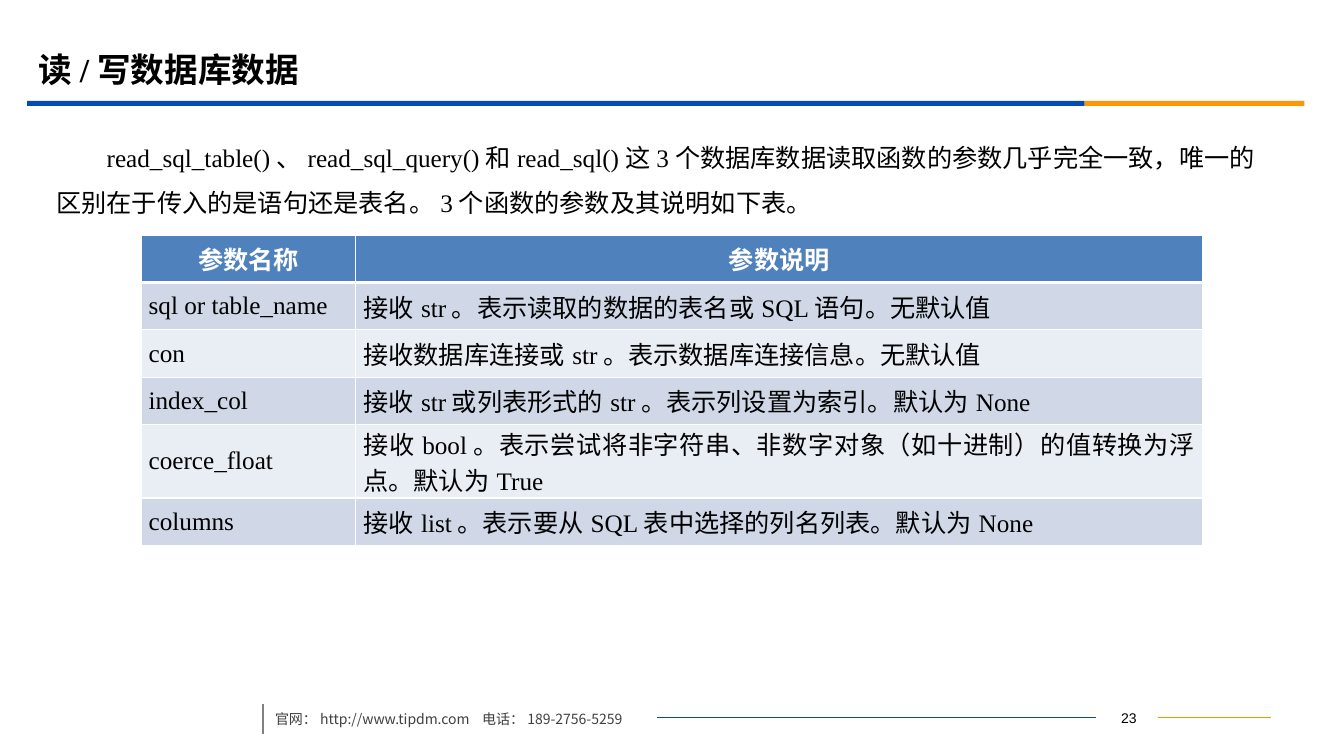
"""Build the slide on reading database data with pandas."""
from pptx import Presentation
from pptx.dml.color import RGBColor
from pptx.enum import shapes, text
from pptx.oxml import ns, xmlchemy
from pptx.util import Pt

ALIGN = text.PP_ALIGN
MIDDLE = text.MSO_ANCHOR.MIDDLE
CJK = "Noto Sans CJK SC"


def color(value):
    return RGBColor.from_string(value)


def child(parent, tag, **attrs):
    e = xmlchemy.OxmlElement(tag)
    for key, value in attrs.items():
        e.set(key, str(value))
    parent.append(e)
    return e


def write(p, content, size=18, font="Times New Roman", fill="000000", bold=False,
          align=ALIGN.LEFT, spacing=1, indent=0, tab=None):
    p.alignment = align
    p.line_spacing = spacing
    pPr = p._p.get_or_add_pPr()
    if indent:
        pPr.set("indent", str(Pt(indent)))
    if tab:
        child(child(pPr, "a:tabLst"), "a:tab", pos=Pt(tab), algn="l")
    r = p.add_run()
    r.text = content
    r.font.size = Pt(size)
    r.font.bold = bold
    r.font.name = font
    r.font.color.rgb = color(fill)
    child(r._r.get_or_add_rPr(), "a:ea", typeface=CJK)


class Slide:
    def __init__(self, prs):
        self.s = prs.slides.add_slide(prs.slide_layouts[6])

    def bar(self, x, y, w, h, fill):
        sp = self.s.shapes.add_shape(shapes.MSO_SHAPE.RECTANGLE, Pt(x), Pt(y), Pt(w), Pt(h))
        sp.shadow.inherit = False
        sp.fill.solid()
        sp.fill.fore_color.rgb = color(fill)
        sp.line.fill.background()

    def line(self, x1, y1, x2, y2, fill, width):
        sp = self.s.shapes.add_connector(
            shapes.MSO_CONNECTOR.STRAIGHT, Pt(x1), Pt(y1), Pt(x2), Pt(y2))
        sp.line.color.rgb = color(fill)
        sp.line.width = Pt(width)
        child(sp._element.spPr, "a:effectLst")

    def text(self, x, y, w, h, content, anchor=text.MSO_ANCHOR.TOP, **style):
        tf = self.s.shapes.add_textbox(Pt(x), Pt(y), Pt(w), Pt(h)).text_frame
        tf.word_wrap = True
        tf.vertical_anchor = anchor
        write(tf.paragraphs[0], content, **style)

    def table(self, x, y, widths, heights, rows):
        t = self.s.shapes.add_table(len(rows), len(widths), Pt(x), Pt(y),
                                    Pt(sum(widths)), Pt(sum(heights))).table
        for column, width in zip(t.columns, widths):
            column.width = Pt(width)
        for i, (row, height) in enumerate(zip(rows, heights)):
            t.rows[i].height = Pt(height)
            for j, content in enumerate(row):
                self.cell(t.cell(i, j), content, i)

    def cell(self, c, content, row):
        c.vertical_anchor = MIDDLE
        if row:
            c.margin_left = c.margin_right = Pt(5.4)
            c.margin_top = c.margin_bottom = 0
            write(c.text_frame.paragraphs[0], content, align=ALIGN.JUSTIFY)
        else:
            write(c.text_frame.paragraphs[0], content, fill="FFFFFF", bold=True,
                  align=ALIGN.CENTER)
        tcPr = c._tc.get_or_add_tcPr()
        for side in "LRTB":
            thick = (row, side) in ((0, "B"), (1, "T"))
            ln = child(tcPr, f"a:ln{side}", w=Pt(3 if thick else 1))
            child(child(ln, "a:solidFill"), "a:srgbClr", val="FFFFFF")
        c.fill.solid()
        c.fill.fore_color.rgb = color(
            "4F81BD" if row == 0 else "D0D8E8" if row % 2 else "E9EDF4")


def main():
    prs = Presentation()
    prs.slide_width, prs.slide_height = Pt(960), Pt(540)
    s = Slide(prs)
    s.bar(19.4, 72, 755.3, 3.6, "064BB2")
    s.bar(774.7, 72, 157, 3.6, "FB9708")
    s.text(784, 503.3, 44.6, 18, "23", size=10, font="Arial", align=ALIGN.CENTER)
    s.line(827.3, 512.6, 907.9, 512.6, "F19500", 0.75)
    s.line(469.4, 512.6, 782.6, 512.6, "064BB2", 0.75)
    s.line(187.9, 502.6, 187.9, 524.2, "808080", 1.25)
    s.text(189.4, 498.2, 385.9, 25.2, "官网：http://www.tipdm.com\t电话：189-2756-5259",
           size=10, font=CJK, fill="404040", spacing=1.5, tab=148)
    s.text(33.1, 87.1, 874.8, 398.2,
           "read_sql_table()、read_sql_query()和read_sql()这3个数据库数据读取函数的参数几乎完全一致，"
           "唯一的区别在于传入的是语句还是表名。3个函数的参数及其说明如下表。",
           spacing=1.5, indent=36)
    s.text(20.2, 28.1, 864, 41.8, "读/写数据库数据", anchor=MIDDLE, size=24, bold=True)
    single, double = 33.9, 52.4
    s.table(100.8, 167.8, (153.4, 604.8), [single] * 4 + [double, single], (
        ("参数名称", "参数说明"),
        ("sql or table_name", "接收str。表示读取的数据的表名或SQL语句。无默认值"),
        ("con", "接收数据库连接或str。表示数据库连接信息。无默认值"),
        ("index_col", "接收str或列表形式的str。表示列设置为索引。默认为None"),
        ("coerce_float", "接收bool。表示尝试将非字符串、非数字对象（如十进制）的值转换为浮点。默认为True"),
        ("columns", "接收list。表示要从SQL表中选择的列名列表。默认为None"),
    ))
    prs.save("out.pptx")


if __name__ == "__main__":
    main()
